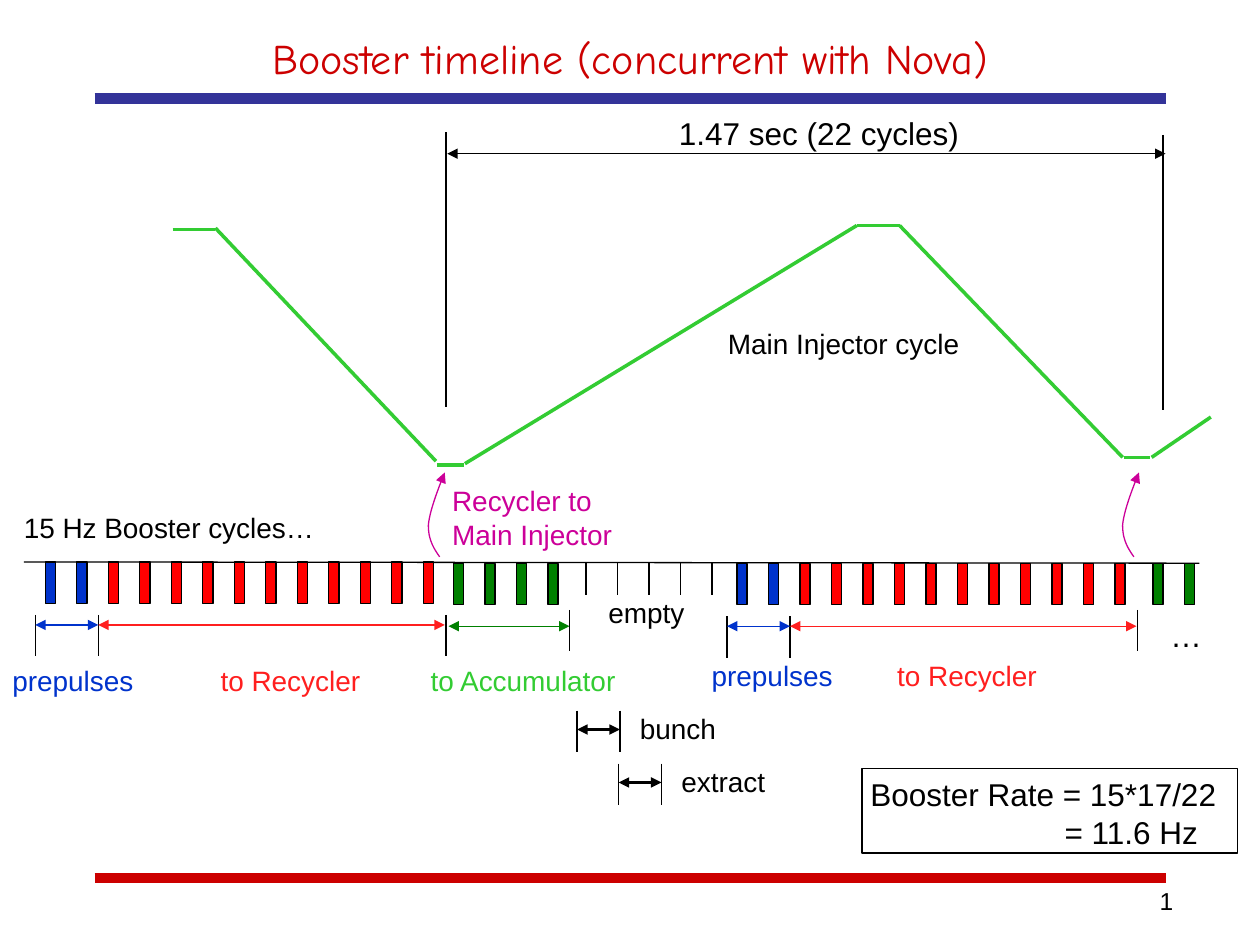
from lxml import etree
from pptx import Presentation
from pptx.dml.color import RGBColor
from pptx.enum.shapes import MSO_CONNECTOR, MSO_SHAPE
from pptx.enum.text import MSO_ANCHOR, PP_ALIGN
from pptx.oxml.ns import qn
from pptx.util import Inches, Pt

STRAIGHT = MSO_CONNECTOR.STRAIGHT
RECTANGLE = MSO_SHAPE.RECTANGLE
LEFT, CENTER, RIGHT = PP_ALIGN.LEFT, PP_ALIGN.CENTER, PP_ALIGN.RIGHT
MIDDLE = MSO_ANCHOR.MIDDLE

BLACK, BLUE, RED, GREEN = "000000", "0033CC", "FF0000", "008000"
RAMP_GREEN, SPAN_RED, MAGENTA = "33CC33", "FF1F1F", "CC0099"
TITLE_RED, RULE_BLUE = "CC0000", "333399"
PULSE_STEP, PULSE_WIDTH, PULSE_HEIGHT = 0.25, 0.08, 0.33


def rgb(color):
    return RGBColor.from_string(color)


def format_text(paragraph, size, color, font="Arial", align=LEFT):
    paragraph.alignment = align
    values = {"size": Pt(size), "name": font}
    for run in paragraph.runs:
        for name, value in values.items():
            setattr(run.font, name, value)
        run.font.color.rgb = rgb(color)


def add_label(slide, box, text, color=BLACK, size=16, align=LEFT):
    shape = slide.shapes.add_textbox(*(Inches(value) for value in box))
    shape.text_frame.word_wrap = True
    paragraph = shape.text_frame.paragraphs[0]
    paragraph.text = text
    format_text(paragraph, size, color, align=align)
    return paragraph


def add_arrowheads(shape, *ends):
    line = shape.element.spPr.find(qn("a:ln"))
    for end in ends:
        etree.SubElement(line, qn(f"a:{end}"), type="triangle")


def add_line(slide, start, end, color=BLACK, width=0.75):
    line = slide.shapes.add_connector(
        STRAIGHT, *(Inches(value) for value in (*start, *end)))
    line.line.color.rgb = rgb(color)
    line.line.width = Pt(width)
    etree.SubElement(line.element.spPr, qn("a:effectLst"))
    return line


def add_tick(slide, x, top, height=0.33):
    add_line(slide, (x, top), (x, top + height))


def add_span(slide, left, right, y, color=BLACK, width=0.75):
    """Horizontal line with an arrowhead at both ends."""
    line = add_line(slide, (left, y), (right, y), color, width)
    add_arrowheads(line, "headEnd", "tailEnd")


def add_rectangle(slide, box, fill=None, width=0.75):
    shape = slide.shapes.add_shape(RECTANGLE, *(Inches(value) for value in box))
    shape.shadow.inherit = False
    if fill:
        shape.fill.solid()
        shape.fill.fore_color.rgb = rgb(fill)
    else:
        shape.fill.background()
    shape.line.color.rgb = rgb(BLACK)
    shape.line.width = Pt(width)


def add_pulses(slide, left, top, colors):
    for index, color in enumerate(colors):
        box = (left + index * PULSE_STEP, top, PULSE_WIDTH, PULSE_HEIGHT)
        add_rectangle(slide, box, color)


def add_frame(slide):
    title = slide.shapes.title
    box = {"left": 0.75, "top": 0.17, "width": 8.5, "height": 0.58}
    for name, value in box.items():
        setattr(title, name, Inches(value))
    title.text_frame.text = "Booster timeline (concurrent with Nova)"
    title.text_frame.vertical_anchor = MIDDLE
    format_text(title.text_frame.paragraphs[0], 24, TITLE_RED, "Comic Neue", CENTER)
    for y, color in ((0.78, RULE_BLUE), (6.97, TITLE_RED)):
        add_line(slide, (0.75, y), (9.25, y), color, 6)
    add_label(slide, (7.08, 6.98, 2.33, 0.52), "1", size=14, align=RIGHT)


def add_injector_cycle(slide):
    ramps = (
        ((1.37, 1.82), (1.71, 1.82)),
        ((1.71, 1.81), (3.46, 3.66)),
        ((3.47, 3.69), (3.68, 3.69)),
        ((3.69, 3.68), (6.8, 1.79)),
        ((6.8, 1.79), (7.14, 1.79)),
        ((7.14, 1.79), (8.91, 3.63)),
        ((8.92, 3.63), (9.13, 3.63)),
        ((9.14, 3.63), (9.61, 3.31)),
    )
    for start, end in ramps:
        add_line(slide, start, end, RAMP_GREEN, 2)
    add_tick(slide, 3.54, 1.05, 2.18)
    add_tick(slide, 9.23, 1.07, 2.18)
    add_span(slide, 3.55, 9.25, 1.22)
    add_label(slide, (4.29, 0.86, 4.42, 0.4), "1.47 sec (22 cycles)", size=18, align=CENTER)
    add_label(slide, (5.32, 2.54, 2.75, 0.37), "Main Injector cycle", align=CENTER)


def add_booster_batch(slide, left, top, end_tick_top, prepulse_left, recycler_left, label_top):
    """Two prepulses and eleven Recycler pulses with their spans."""
    add_pulses(slide, left + 0.08, top, [BLUE] * 2 + [RED] * 11)
    for offset in (0, 0.5):
        add_tick(slide, left + offset, top + 0.42)
    add_tick(slide, left + 3.26, end_tick_top)
    add_span(slide, left, left + 0.5, top + 0.5, BLUE)
    add_span(slide, left + 0.5, left + 3.25, top + 0.5, SPAN_RED)
    add_label(slide, (prepulse_left, label_top, 1.5, 0.37), "prepulses", BLUE)
    add_label(slide, (recycler_left, label_top, 2.33, 0.37), "to Recycler", SPAN_RED, align=CENTER)


def add_accumulator(slide, left, top):
    add_pulses(slide, left, top, [GREEN] * 4)
    add_span(slide, left - 0.04, left + 0.92, top + 0.5, GREEN)
    add_tick(slide, left + 0.92, top + 0.37)
    add_label(slide, (left - 0.28, top + 0.75, 1.92, 0.37), "to Accumulator", RAMP_GREEN)


def add_empty_cycles(slide, left, top):
    for index in range(5):
        add_tick(slide, left + index * PULSE_STEP, top, 0.25)
    add_label(slide, (left, top + 0.21, 0.96, 0.37), "empty", align=CENTER)


def bezier(points, steps=12):
    for step in range(1, steps + 1):
        t = step / steps
        weights = ((1 - t) ** 3, 3 * t * (1 - t) ** 2, 3 * t * t * (1 - t), t ** 3)
        yield tuple(Inches(sum(weight * point[axis] for weight, point in zip(weights, points)))
                    for axis in (0, 1))


def add_transfer_arrow(slide, left, top):
    offsets = ((0.09, 0.67), (0.04, 0.6), (0, 0.53), (0, 0.42),
               (0.01, 0.31), (0.07, 0.15), (0.13, 0))
    points = [(left + x, top + y) for x, y in offsets]
    builder = slide.shapes.build_freeform(*(Inches(value) for value in points[0]))
    builder.add_line_segments([*bezier(points[:4]), *bezier(points[3:])], close=False)
    arrow = builder.convert_to_shape()
    arrow.shadow.inherit = False
    arrow.fill.background()
    arrow.line.color.rgb = rgb(MAGENTA)
    arrow.line.width = Pt(0)
    add_arrowheads(arrow, "tailEnd")


def add_interval(slide, left, top, text):
    for x in (left, left + 0.34):
        add_tick(slide, x, top)
    add_span(slide, left, left + 0.34, top + 0.15, width=0)
    add_label(slide, (left + 0.4, top - 0.04, 1.43, 0.37), text)


def add_rate(slide, left, top):
    paragraph = add_label(slide, (left - 0.03, top, 3.02, 0.7),
                          "Booster Rate = 15*17/22\v\t= 11.6 Hz", size=18)
    tabs = etree.SubElement(paragraph._p.get_or_add_pPr(), qn("a:tabLst"))
    etree.SubElement(tabs, qn("a:tab"), pos=str(Inches(1.54)), algn="l")
    add_rectangle(slide, (left, top, 2.98, 0.67), width=0)


def main():
    presentation = Presentation()
    presentation.slide_width, presentation.slide_height = Inches(10), Inches(7.5)
    slide = presentation.slides.add_slide(presentation.slide_layouts[5])
    add_frame(slide)
    add_injector_cycle(slide)
    add_line(slide, (0.19, 4.46), (9.52, 4.47))
    add_label(slide, (0.09, 4, 2.88, 0.37), "15 Hz Booster cycles…")
    add_booster_batch(slide, 0.28, 4.46, 4.88, 0, 1.14, 5.22)
    add_accumulator(slide, 3.6, 4.47)
    add_empty_cycles(slide, 4.65, 4.47)
    add_booster_batch(slide, 5.77, 4.47, 4.84, 5.55, 6.51, 5.18)
    add_pulses(slide, 9.15, 4.47, [GREEN] * 2)
    add_label(slide, (9.19, 4.84, 0.5, 0.4), "…", size=18)
    for left in (3.4, 8.91):
        add_transfer_arrow(slide, left, 3.75)
    add_label(slide, (3.49, 3.79, 1.6, 0.64), "Recycler to Main Injector", MAGENTA)
    add_interval(slide, 4.58, 5.64, "bunch")
    add_interval(slide, 4.91, 6.06, "extract")
    add_rate(slide, 6.84, 6.1)
    presentation.save("out.pptx")


if __name__ == "__main__":
    main()
